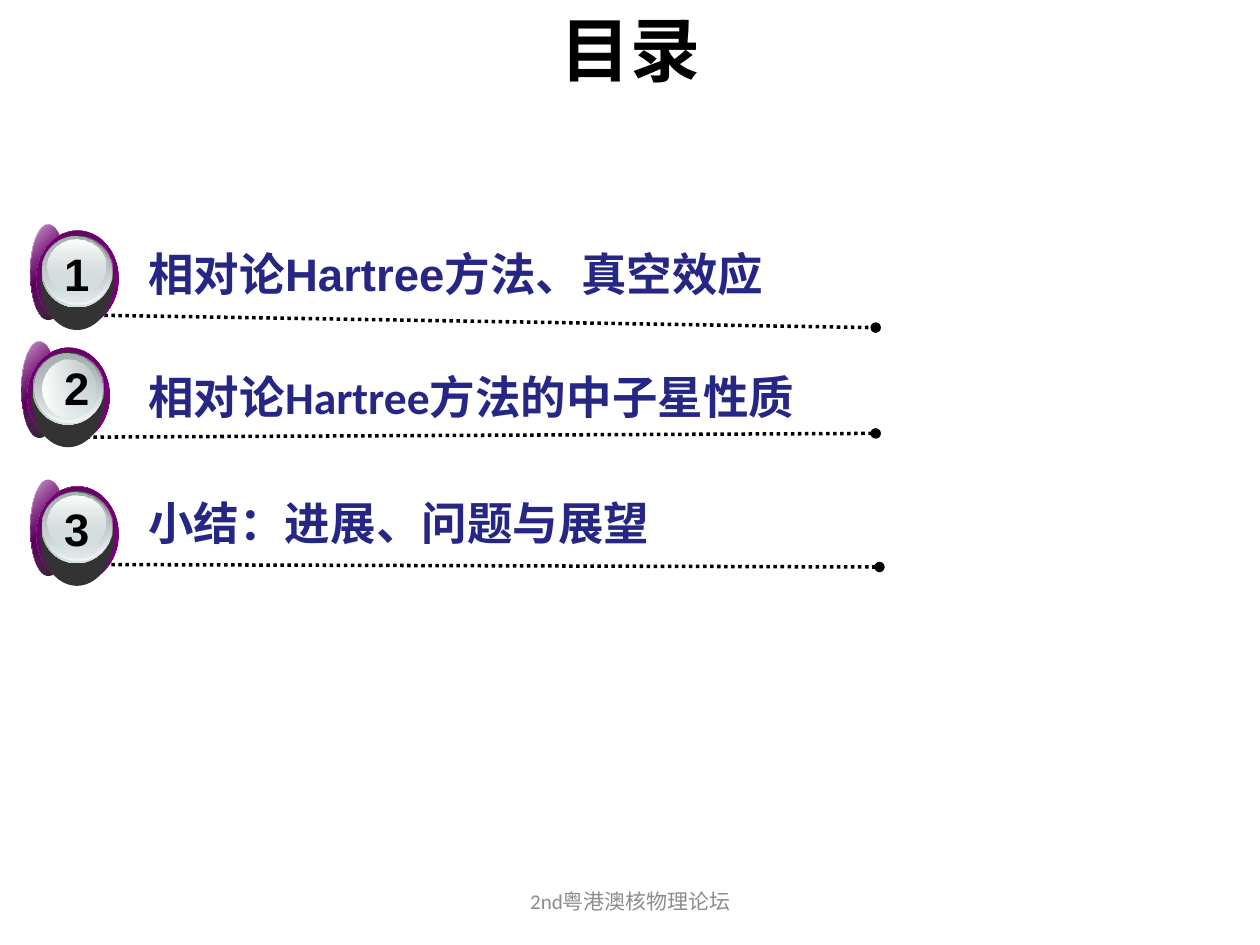
from lxml import etree
from pptx import Presentation
from pptx.dml.color import RGBColor
from pptx.enum.dml import MSO_LINE
from pptx.enum.shapes import MSO_CONNECTOR, MSO_SHAPE
from pptx.enum.text import MSO_ANCHOR, MSO_AUTO_SIZE, PP_ALIGN
from pptx.oxml.ns import qn
from pptx.util import Inches, Pt

OVAL = MSO_SHAPE.OVAL
STRAIGHT = MSO_CONNECTOR.STRAIGHT
DOTTED = MSO_LINE.ROUND_DOT
TOP, MIDDLE = MSO_ANCHOR.TOP, MSO_ANCHOR.MIDDLE
CENTER, JUSTIFY = PP_ALIGN.CENTER, PP_ALIGN.JUSTIFY
NO_AUTOFIT = MSO_AUTO_SIZE.NONE

TITLE_FONT = {"name": "Arial", "size": Pt(40), "bold": True, "color": "000000"}
NUMBER_FONT = {"name": "Arial", "size": Pt(26), "bold": True, "color": "000000"}
ITEM_FONT = {**NUMBER_FONT, "color": "262685"}
ITEM_CALIBRI = {**ITEM_FONT, "name": "Calibri"}
FOOTER_FONT = {"name": "Calibri", "size": Pt(12), "bold": False, "color": "8C8C8C"}

BADGE_LAYERS = [
    ((0, 0, 0.28, 0.76), 45, [(0, "FFFFFF", 100), (50, "800080", 100), (100, "FFFFFF", 100)]),
    ((0, 0, 0.28, 0.76), 45, [(0, "800080", 32), (100, "000000", 90)]),
    ((0.05, 0.05, 0.65, 0.76), 315, [(0, "620062", 100), (50, "800080", 100), (100, "620062", 100)]),
    ((0.05, 0.05, 0.65, 0.76), 45, [(0, "690069", 100), (100, "800080", 0)]),
    ((0.08, 0.08, 0.58, 0.76), None, "333333"),
    ((0.09, 0.09, 0.56, 0.57), 90, [(0, "636869", 100), (100, "D6E1E2", 100)]),
    ((0.1, 0.09, 0.55, 0.55), 90, [(0, "D6E1E2", 0), (100, "F1F5F5", 100)]),
    ((0.1, 0.1, 0.52, 0.52), 90, [(0, "AAB2B3", 100), (100, "D6E1E2", 48)]),
]
GLOSS_STOPS = [(0, "FFFFFF", 100), (100, "D6E1E2", 38)]
UPRIGHT_GLOSS = {"box": (0.14, 0.12, 0.46, 0.42), "rotation": 0}
TURNED_GLOSS = {"box": (0.15, 0.16, 0.46, 0.42), "rotation": 270}

ITEMS = [
    {"number": "1", "badge": (0.24, 1.78), "gloss": UPRIGHT_GLOSS,
     "number_top": 1.9, "text_box": (1.08, 1.9, 5.34, 0.54),
     "line": (0.66, 2.5, 6.95, 2.6),
     "runs": [("相对论Hartree方法、真空效应", ITEM_FONT)]},
    {"number": "2", "badge": (0.17, 2.71), "gloss": TURNED_GLOSS,
     "number_top": 2.81, "text_box": (1.08, 2.88, 6.94, 0.54),
     "line": (0.63, 3.47, 6.95, 3.44),
     "runs": [("相对论Hartree方法的", ITEM_CALIBRI), ("中子星性质", ITEM_FONT)]},
    {"number": "3", "badge": (0.24, 3.81), "gloss": UPRIGHT_GLOSS,
     "number_top": 3.93, "text_box": (1.08, 3.88, 6.94, 0.54),
     "line": (0.66, 4.48, 6.98, 4.5),
     "runs": [("小结：进展、问题与展望", ITEM_FONT)]},
]


def color(value):
    return RGBColor.from_string(value)


def set_gradient(shape, angle, stops):
    shape.fill.gradient()
    shape.fill.gradient_angle = (360 - angle) % 360
    stop_list = shape._element.spPr.find(qn("a:gradFill")).find(qn("a:gsLst"))
    for stop in list(stop_list):
        stop_list.remove(stop)
    for position, value, opacity in stops:
        stop = etree.SubElement(stop_list, qn("a:gs"), pos=str(position * 1000))
        stop_color = etree.SubElement(stop, qn("a:srgbClr"), val=value)
        if opacity < 100:
            etree.SubElement(stop_color, qn("a:alpha"), val=str(opacity * 1000))


def add_ellipse(group, origin, box, angle, fill):
    left, top, width, height = box
    shape = group.shapes.add_shape(
        OVAL, Inches(origin[0] + left), Inches(origin[1] + top), Inches(width), Inches(height))
    shape.shadow.inherit = False
    shape.line.fill.background()
    if angle is None:
        shape.fill.solid()
        shape.fill.fore_color.rgb = color(fill)
    else:
        set_gradient(shape, angle, fill)
    return shape


def add_badge(slide, origin, gloss):
    group = slide.shapes.add_group_shape()
    for box, angle, fill in BADGE_LAYERS:
        add_ellipse(group, origin, box, angle, fill)
    highlight = add_ellipse(group, origin, gloss["box"], 90, GLOSS_STOPS)
    highlight.rotation = gloss["rotation"]


def add_dotted_line(slide, ends):
    connector = slide.shapes.add_connector(STRAIGHT, *map(Inches, ends))
    line = connector.line
    line.color.rgb = color("000000")
    line.width = Pt(2)
    line.dash_style = DOTTED
    etree.SubElement(line._get_or_add_ln(), qn("a:tailEnd"), type="oval")
    etree.SubElement(connector._element.spPr, qn("a:effectLst"))


def write_text(shape, runs, alignment, anchor=TOP):
    frame = shape.text_frame
    frame_format = {"word_wrap": True, "auto_size": NO_AUTOFIT, "vertical_anchor": anchor}
    for name, value in frame_format.items():
        setattr(frame, name, value)
    paragraph = frame.paragraphs[0]
    paragraph.alignment = alignment
    for text, font_format in runs:
        run = paragraph.add_run()
        run.text = text
        for name, value in font_format.items():
            if name == "color":
                run.font.color.rgb = color(value)
            else:
                setattr(run.font, name, value)


def add_title(slide):
    title = slide.shapes.title
    place = {"left": 0.28, "top": 0, "width": 9.45, "height": 0.68}
    for name, value in place.items():
        setattr(title, name, Inches(value))
    write_text(title, [("目录", TITLE_FONT)], CENTER)


def add_text(slide, box, runs, alignment, anchor=TOP):
    shape = slide.shapes.add_textbox(*map(Inches, box))
    write_text(shape, runs, alignment, anchor)


def main():
    presentation = Presentation()
    presentation.slide_width = Inches(10)
    presentation.slide_height = Inches(7.5)
    slide = presentation.slides.add_slide(presentation.slide_layouts[5])
    add_title(slide)
    for item in ITEMS:
        add_dotted_line(slide, item["line"])
    for item in ITEMS:
        add_badge(slide, item["badge"], item["gloss"])
        number_box = (0.41, item["number_top"], 0.42, 0.54)
        add_text(slide, number_box, [(item["number"], NUMBER_FONT)], JUSTIFY)
        add_text(slide, item["text_box"], item["runs"], JUSTIFY)
    add_text(slide, (3.42, 6.95, 3.17, 0.4), [("2nd粤港澳核物理论坛", FOOTER_FONT)], CENTER, MIDDLE)
    presentation.save("out.pptx")


if __name__ == "__main__":
    main()
